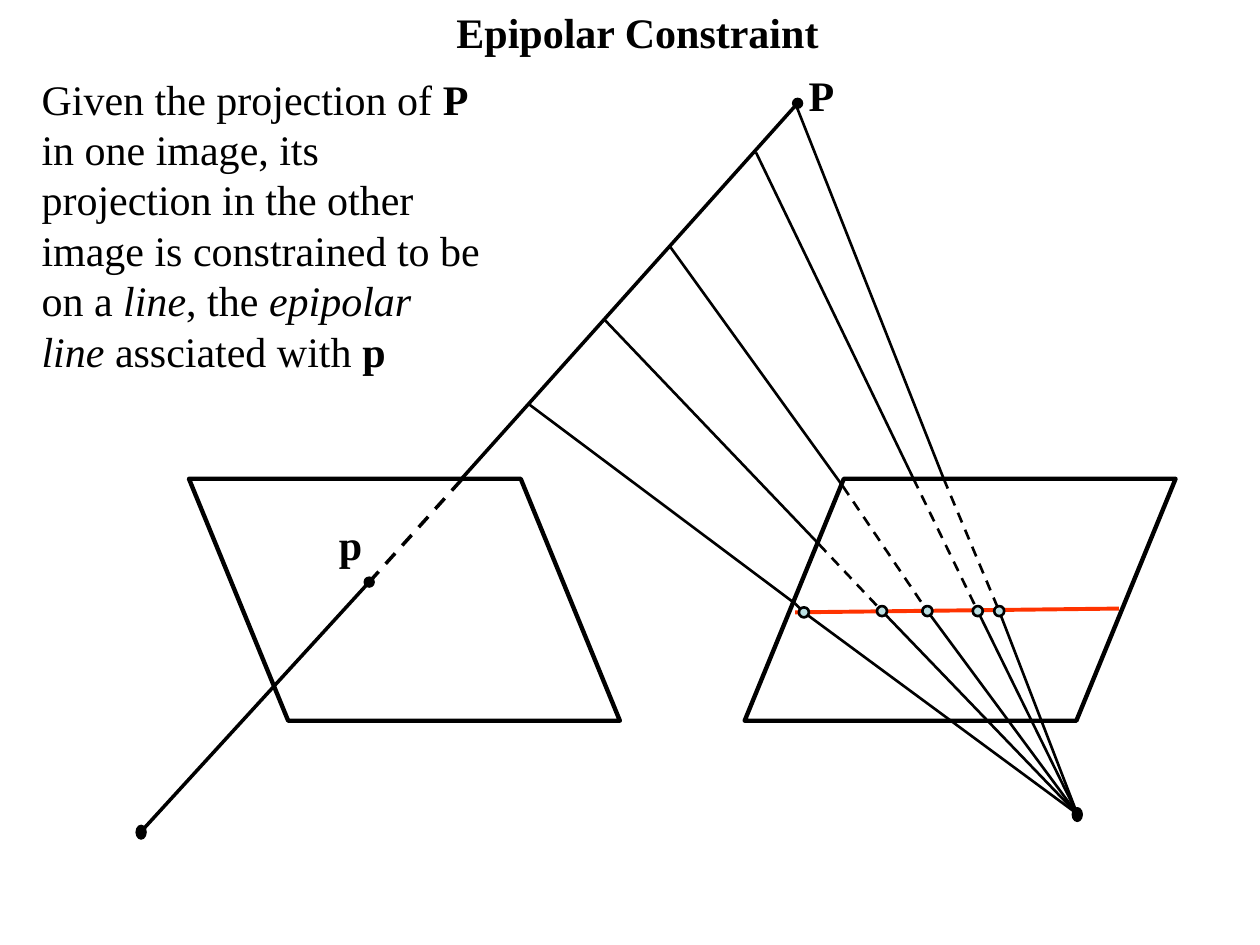
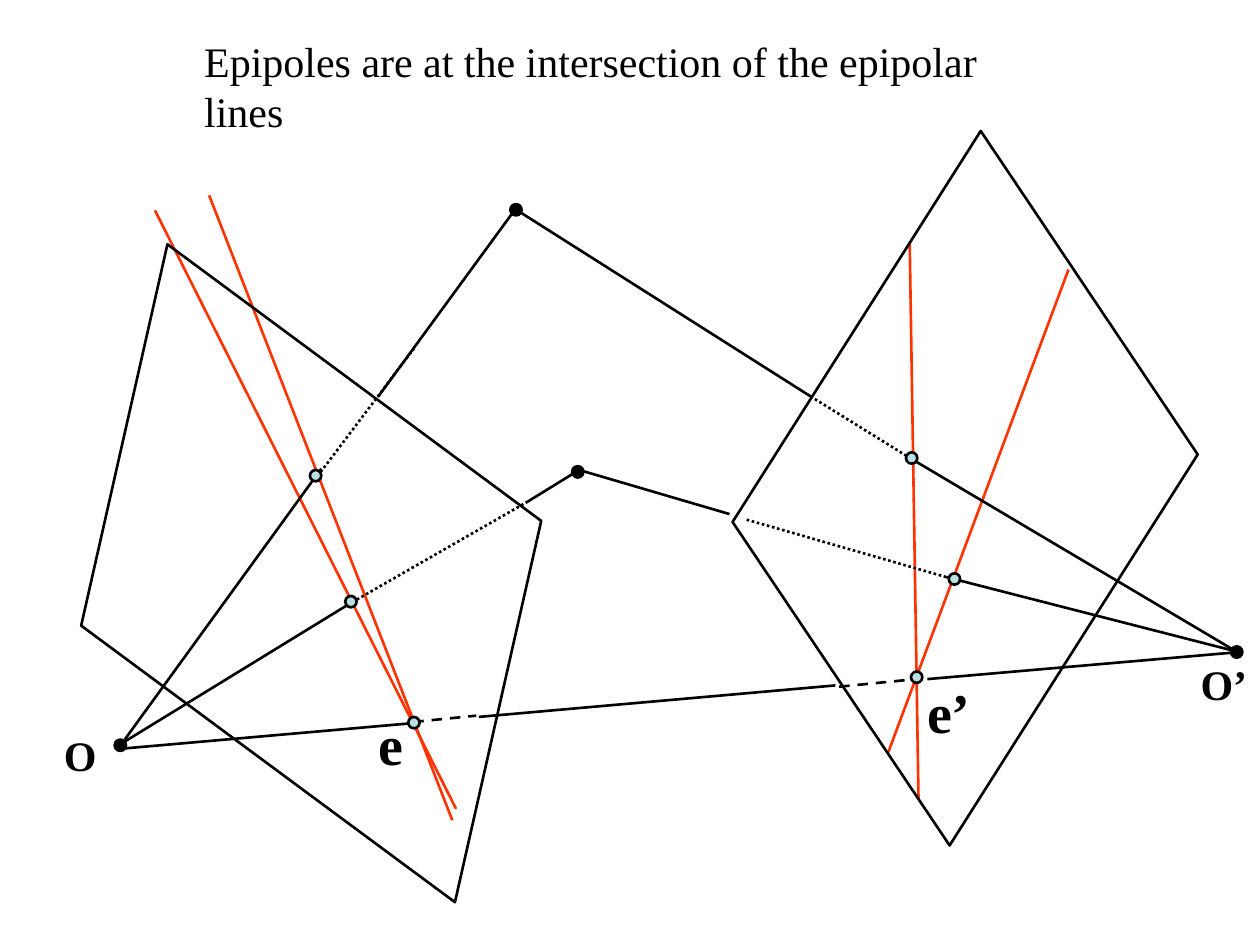
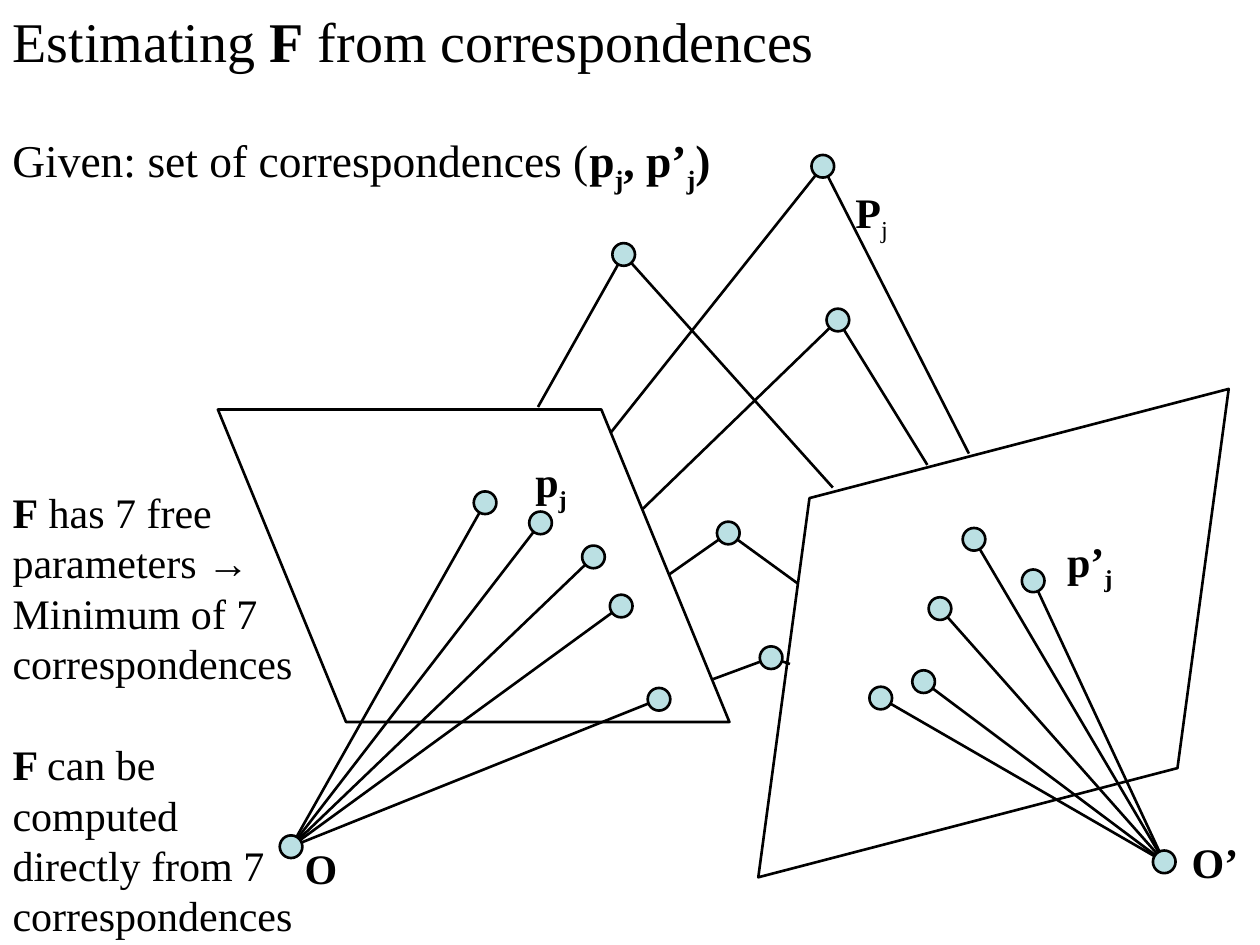
from lxml import etree
from pptx import Presentation
from pptx.dml.color import RGBColor
from pptx.enum.dml import MSO_LINE
from pptx.enum.shapes import MSO_CONNECTOR, MSO_SHAPE
from pptx.enum.text import MSO_ANCHOR, MSO_AUTO_SIZE, PP_ALIGN
from pptx.oxml.ns import qn
from pptx.util import Emu, Pt

PX = 9144
FONT = "Times New Roman"
COLORS = {"ink": "000000", "paper": "FFFFFF", "red": "FF3300", "pale": "BBE0E3"}
STRAIGHT = MSO_CONNECTOR.STRAIGHT
OVAL = MSO_SHAPE.OVAL
PLANE = MSO_SHAPE.PARALLELOGRAM
DASH = MSO_LINE.DASH
DOTS = MSO_LINE.ROUND_DOT
LEFT = PP_ALIGN.LEFT
CENTER = PP_ALIGN.CENTER
TOP = MSO_ANCHOR.TOP
FIXED = MSO_AUTO_SIZE.NONE
FULL, BARE = 1, 5


def px(*sizes):
    return [Emu(size * PX) for size in sizes]


def color(name):
    return RGBColor.from_string(COLORS[name])


class Deck:
    def __init__(self):
        self.prs = Presentation()
        self.prs.slide_width, self.prs.slide_height = px(1000, 750)
        self.slide = None

    def page(self, layout):
        self.slide = self.prs.slides.add_slide(self.prs.slide_layouts[layout])

    def text(self, shape, paras, size, align=LEFT, gap=0):
        frame = shape.text_frame
        frame.word_wrap = True
        frame.auto_size = FIXED
        frame.vertical_anchor = TOP
        for i, runs in enumerate(paras):
            para = frame.add_paragraph() if i else frame.paragraphs[0]
            props = para._p.get_or_add_pPr()
            props.set("marL", "0")
            props.set("indent", "0")
            para.alignment = align
            para.space_before = Pt(gap if i else 0)
            etree.SubElement(props, qn("a:buNone"))
            shared = all("b" in marks for _, marks in runs)
            para.font.name = FONT
            para.font.size = Pt(size)
            para.font.color.rgb = color("ink")
            para.font.bold = shared
            for words, marks in runs:
                run = para.add_run()
                run.text = words
                if "b" in marks and not shared:
                    run.font.bold = True
                if "i" in marks:
                    run.font.italic = True
                if "s" in marks:
                    run._r.get_or_add_rPr().set("baseline", "-25000")

    def fit(self, shape, box):
        shape.left, shape.top, shape.width, shape.height = px(*box)

    def title(self, box, *runs, size=24, align=LEFT):
        shape = self.slide.shapes.title
        self.fit(shape, box)
        self.text(shape, [runs], size, align)

    def body(self, box, *paras, gap=0):
        shape = self.slide.placeholders[1]
        self.fit(shape, box)
        self.text(shape, paras, 24, gap=gap)

    def label(self, box, *runs, size=24):
        shape = self.slide.shapes.add_textbox(*px(*box))
        shape.text_frame.margin_right = 0
        self.text(shape, [runs], size)

    def line(self, start, end, ink="ink", width=1.5, dash=None):
        line = self.slide.shapes.add_connector(STRAIGHT, *px(*start, *end))
        line.line.color.rgb = color(ink)
        line.line.width = Pt(width)
        if dash:
            line.line.dash_style = dash
        etree.SubElement(line._element.spPr, qn("a:effectLst"))

    def shape(self, kind, box, fill, width):
        shape = self.slide.shapes.add_shape(kind, *px(*box))
        shape.shadow.inherit = False
        if fill:
            shape.fill.solid()
            shape.fill.fore_color.rgb = color(fill)
        else:
            shape.fill.background()
        shape.line.color.rgb = color("ink")
        shape.line.width = Pt(width)
        return shape

    def dot(self, spot, fill="pale", wide=9, high=None, width=1.5):
        high = high or wide
        box = spot[0] - wide // 2, spot[1] - high // 2, wide, high
        self.shape(OVAL, box, fill, width)

    def plane(self, box, slant, turn=0, flip=False, fill=None, width=1.5):
        shape = self.shape(PLANE, box, fill, width)
        shape.adjustments[0] = slant
        shape.rotation = turn
        if flip:
            shape._element.spPr.xfrm.set("flipH", "1")


def constraint(deck):
    deck.page(FULL)
    deck.title((340, 0, 332, 50), ("Epipolar Constraint", "b"), align=CENTER)
    deck.body((23, 53, 370, 250), [
        ("Given the projection of ", ""), ("P", "b"),
        (" in one image, its projection in the other image is constrained to be on a ", ""),
        ("line", "i"), (", the ", ""), ("epipolar line", "i"),
        (" assciated with ", ""), ("p", "b")])
    world, point, edge = (633, 82), (293, 462), (367, 380)
    left, right = (112, 660), (855, 646)
    deck.plane((591, 380, 342, 192), 0.41, fill="paper", width=2.5)
    deck.line(point, world, width=2)
    deck.plane((150, 380, 342, 192), 0.41, flip=True, fill="paper", width=2.5)
    deck.line(point, edge, width=2, dash=DASH)
    deck.line(left, point, width=2)
    for spot, high in ((left, 11), (right, 11), (point, 8), (world, 8)):
        deck.dot(spot, "ink", 8, high, 0.75)
    deck.label((632, 50, 40, 50), ("P", "b"))
    deck.label((259, 407, 39, 50), ("p", "b"))
    deck.line((631, 486), (888, 483), "red", 2.25)
    rays = [
        ((420, 321), (631, 479), (638, 486)),
        ((480, 254), (650, 432), (700, 485)),
        ((532, 196), (669, 386), (736, 485)),
        ((600, 121), (725, 380), (776, 485)),
        ((632, 84), (749, 380), (793, 485)),
    ]
    for start, edge, hit in rays:
        deck.line(start, edge)
        deck.line(edge, hit, dash=DASH)
        deck.line(hit, right)
        deck.dot(hit, wide=8)


def epipoles(deck):
    deck.page(BARE)
    deck.title((152, 23, 690, 90),
               ("Epipoles are at the intersection of the epipolar lines", ""))
    left, right = (95, 591), (981, 517)
    far, near = (409, 166), (458, 374)
    reds = [((359, 651), (166, 155)), ((362, 642), (123, 167)),
            ((729, 634), (722, 192)), ((705, 597), (848, 214))]
    for ends in reds:
        deck.line(*ends, ink="red")
    deck.plane((520, 246, 492, 283), 0.44, turn=302.4)
    deck.plane((0, 313, 494, 284), 0.44, turn=36.5, flip=True)
    solid = [
        ((99, 587), (255, 372)), ((300, 315), far),
        ((723, 364), right), ((644, 315), far),
        ((751, 458), right), ((579, 408), (463, 374)),
        (left, (281, 477)), ((419, 398), near),
        ((99, 594), (327, 574)), ((380, 569), (663, 544)),
        ((736, 539), (978, 518)),
    ]
    dotted = [((252, 378), (329, 276)), ((723, 364), (644, 315)),
              ((751, 458), (591, 412)), ((276, 480), (419, 398))]
    dashed = [((328, 573), (378, 568)), ((666, 545), (727, 539))]
    for group, dash in ((solid, None), (dotted, DOTS), (dashed, DASH)):
        for ends in group:
            deck.line(*ends, dash=dash)
    for spot in (left, right, far, near):
        deck.dot(spot, "ink")
    for spot in ((250, 377), (723, 363), (757, 459), (278, 477), (727, 537), (328, 573)):
        deck.dot(spot)
    deck.label((41, 574, 46, 50), ("O", "b"))
    deck.label((943, 518, 57, 50), ("O’", "b"))
    deck.label((291, 558, 40, 63), ("e", "b"), size=32)
    deck.label((726, 533, 55, 63), ("e’", "b"), size=32)


def estimate(deck):
    deck.page(FULL)
    deck.title((0, 0, 811, 65), ("Estimating ", ""), ("F", "b"),
               (" from correspondences", ""), size=32)
    deck.body((0, 381, 249, 369),
              [("F", "b"), (" has 7 free parameters → Minimum of 7 correspondences", "")],
              [("F ", "b"), ("can be computed directly from 7 correspondences", "")],
              gap=29)
    deck.label((0, 100, 600, 55), ("Given: set of correspondences (", ""),
               ("p", "b"), ("j", "bs"), (", p’", "b"), ("j", "bs"), (")", "b"), size=26)
    deck.plane((173, 325, 406, 248), 0.41, flip=True)
    deck.plane((559, 362, 459, 281), 0.41, turn=345.4)
    left, right = (231, 672), (924, 684)
    world = [
        ((653, 132), (485, 343), (769, 360)),
        ((495, 202), (427, 323), (661, 387)),
        ((665, 254), (510, 404), (736, 369)),
        ((578, 423), (531, 456), (633, 463)),
        ((612, 522), (566, 539), (627, 527)),
    ]
    views = [
        (left, [(385, 399), (429, 415), (471, 442), (493, 481), (523, 555)]),
        (right, [(773, 428), (820, 461), (746, 483), (733, 541), (699, 554)]),
    ]
    for spot, *edges in world:
        for edge in edges:
            deck.line(spot, edge)
        deck.dot(spot, wide=18)
    for eye, spots in views:
        for spot in spots:
            deck.line(eye, spot)
        for spot in (eye, *spots):
            deck.dot(spot, wide=18)
    deck.label((669, 143, 62, 50), ("P", "b"), ("j", "s"))
    deck.label((837, 420, 85, 50), ("p’", "b"), ("j", "bs"))
    deck.label((415, 357, 56, 50), ("p", "b"), ("j", "bs"))
    deck.label((232, 664, 46, 50), ("O", "b"))
    deck.label((936, 659, 57, 50), ("O’", "b"))


def main():
    deck = Deck()
    for build in (constraint, epipoles, estimate):
        build(deck)
    deck.prs.save("out.pptx")


if __name__ == "__main__":
    main()
